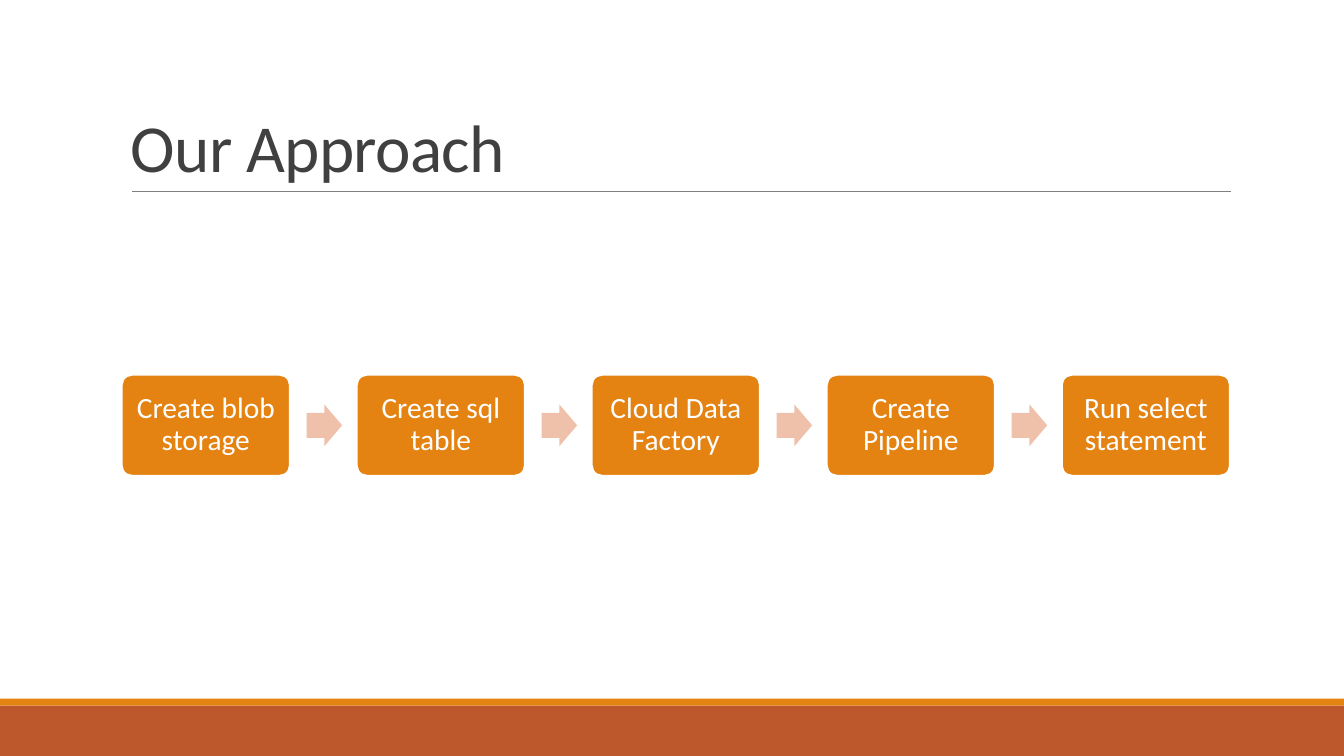
from pptx import Presentation
from pptx.dml.color import RGBColor
from pptx.enum import shapes, text
from pptx.oxml.ns import qn
from pptx.util import Pt
from lxml import etree

SLIDE_W, SLIDE_H = 960, 540
ORANGE, RUST, PEACH = "E48312", "BD582C", "EFC1AB"
WHITE, DARK, GRAY = "FFFFFF", "404040", "808080"
STEPS = ["Create blob storage", "Create sql table", "Cloud Data Factory",
         "Create Pipeline", "Run select statement"]


def color(value):
    return RGBColor.from_string(value)


def add_block(s, kind, left, top, width, height, fill, line=None):
    sp = s.shapes.add_shape(kind, Pt(left), Pt(top), Pt(width), Pt(height))
    sp.shadow.inherit = False
    sp.fill.solid()
    sp.fill.fore_color.rgb = color(fill)
    if line:
        sp.line.color.rgb = color(line)
        sp.line.width = Pt(1.25)
    else:
        sp.line.fill.background()
    return sp


def add_words(sp, words, size, fill, anchor, align, spacing, inset_x, inset_y):
    tf = sp.text_frame
    tf.word_wrap = True
    tf.vertical_anchor = anchor
    tf.margin_left = tf.margin_right = Pt(inset_x)
    tf.margin_top = tf.margin_bottom = Pt(inset_y)
    p = tf.paragraphs[0]
    p.alignment = align
    p.line_spacing = spacing
    r = p.add_run()
    r.text = words
    r.font.name = "Calibri"
    r.font.size = Pt(size)
    r.font.color.rgb = color(fill)
    return r


def add_footer(s, left, top, width, height):
    stripe = 5
    rect = shapes.MSO_SHAPE.RECTANGLE
    add_block(s, rect, left, top + stripe, width, height - stripe, RUST)
    add_block(s, rect, left, top, width, stripe, ORANGE)


def add_title(s, left, top, width, height):
    # Rule under the title
    y = Pt(top + height)
    rule = s.shapes.add_connector(shapes.MSO_CONNECTOR.STRAIGHT,
                                  Pt(left + 8), y, Pt(left + width + 0.7), y)
    rule.line.color.rgb = color(GRAY)
    rule.line.width = Pt(0.5)
    etree.SubElement(rule._element.spPr, qn("a:effectLst"))
    # Title text, slightly tightened
    box = s.shapes.add_textbox(Pt(left), Pt(top), Pt(width), Pt(height))
    r = add_words(box, "Our Approach", 48, DARK, text.MSO_ANCHOR.BOTTOM,
                  text.PP_ALIGN.LEFT, 0.85, 7.2, 3.6)
    r.font._element.set("spc", "-50")


def add_process(s, left, top, width, height):
    step_w, arrow_w, arrow_h = 120, 25.4, 29.8
    pitch = (width - step_w) / (len(STEPS) - 1)
    for i, words in enumerate(STEPS):
        x = left + i * pitch
        step = add_block(s, shapes.MSO_SHAPE.ROUNDED_RECTANGLE,
                         x, top, step_w, height, ORANGE, WHITE)
        step.adjustments[0] = 0.1
        add_words(step, words, 21, WHITE, text.MSO_ANCHOR.MIDDLE,
                  text.PP_ALIGN.CENTER, 0.9, 6.3, 6.3)
        # Arrow to the next step
        if i < len(STEPS) - 1:
            arrow = add_block(s, shapes.MSO_SHAPE.RIGHT_ARROW, x + step_w + 12,
                              top + (height - arrow_h) / 2,
                              arrow_w, arrow_h, PEACH)
            arrow.adjustments[0] = 0.6
            arrow.adjustments[1] = 0.5


def main():
    prs = Presentation()
    prs.slide_width, prs.slide_height = Pt(SLIDE_W), Pt(SLIDE_H)
    s = prs.slides.add_slide(prs.slide_layouts[6])
    add_footer(s, 0, 499, SLIDE_W, 41)
    add_title(s, 86.4, 22.3, 792, 114.5)
    add_process(s, 87, 267.8, 791.5, 72)
    prs.save("out.pptx")


if __name__ == "__main__":
    main()
